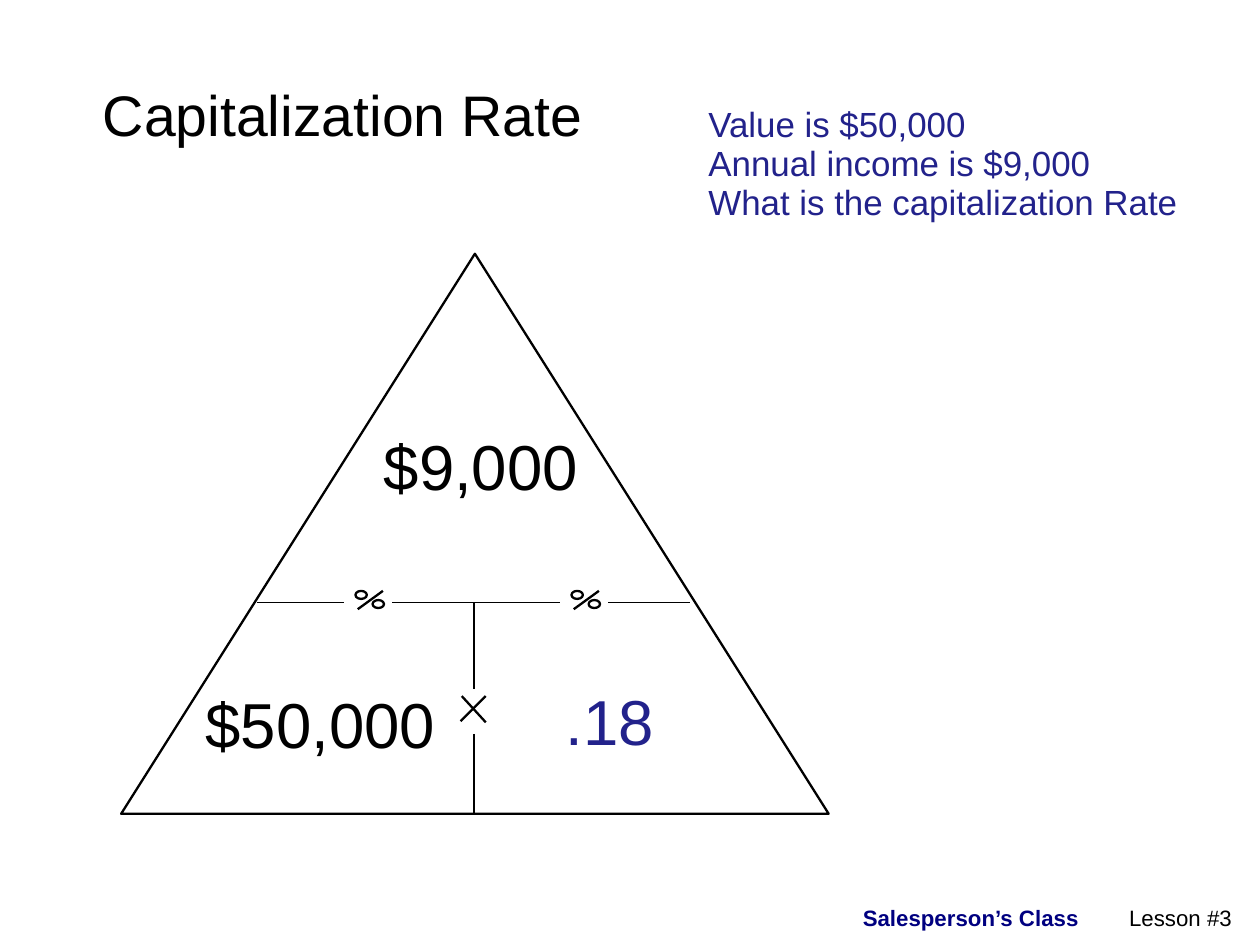
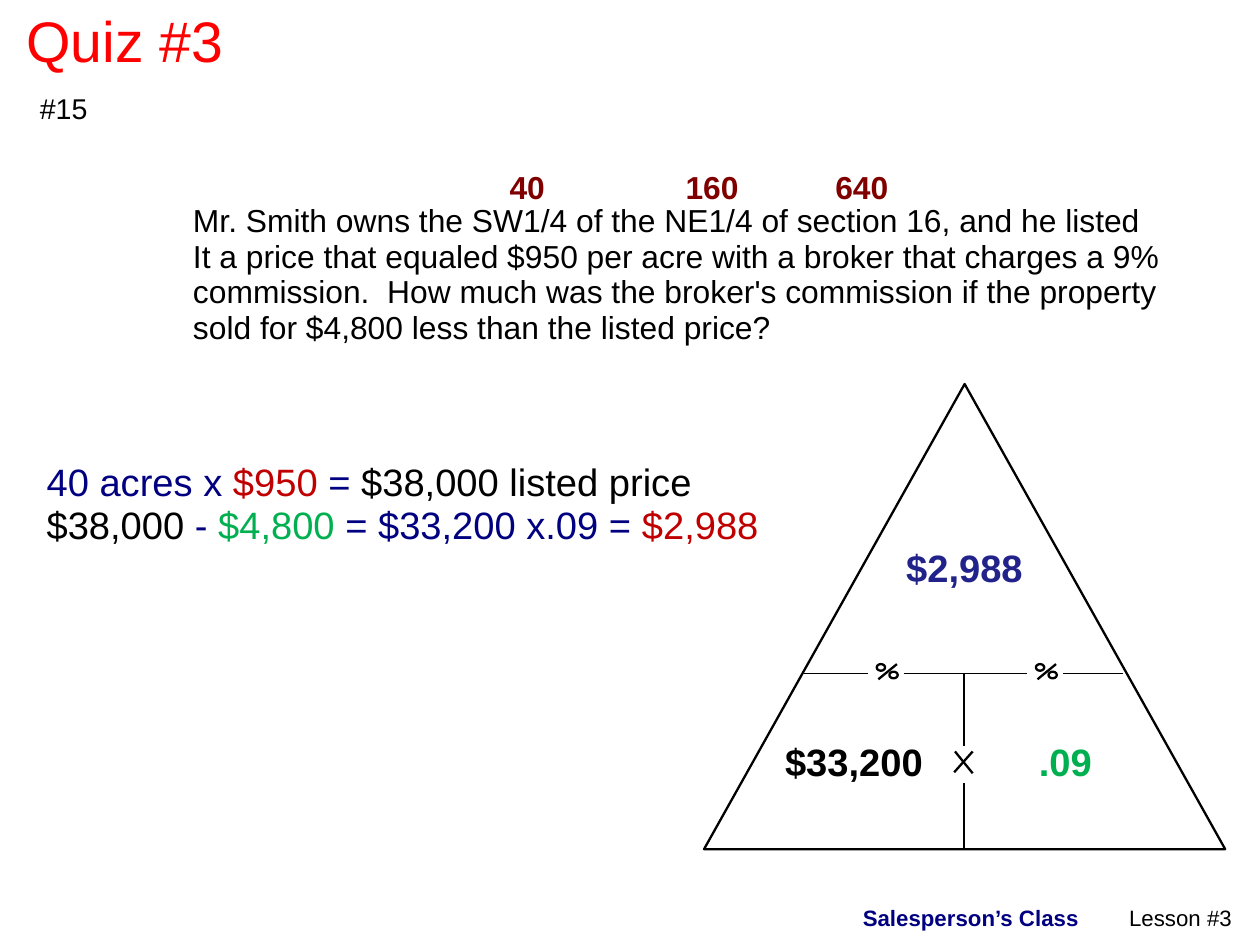
from dataclasses import dataclass
from typing import NamedTuple

from lxml import etree
from pptx import Presentation
from pptx.dml.color import RGBColor
from pptx.enum import shapes, text
from pptx.oxml import ns
from pptx.util import Cm, Inches, Pt

BLACK = RGBColor(0x00, 0x00, 0x00)
NAVY = RGBColor(0x00, 0x00, 0x80)
INDIGO = RGBColor(0x22, 0x22, 0x8B)
RED = RGBColor(0xFF, 0x00, 0x00)
BRICK = RGBColor(0xC0, 0x00, 0x00)
MAROON = RGBColor(0x80, 0x00, 0x00)
GREEN = RGBColor(0x00, 0xB0, 0x50)
FONT = "Arial"
THICK, THIN = 1.45, 0.75
WIDE, HIGH = 6.19, 4.9
MID, BAR = 3.09, 3.05


class Run(NamedTuple):
    words: str
    color: RGBColor = BLACK
    bold: bool = False


@dataclass
class Box:
    left: float
    top: float
    width: float
    height: float
    size: float
    lines: list[list[Run]]
    tabs: tuple[float, ...] = ()
    inset: float = 0.05


class Stroke(NamedTuple):
    x1: float
    y1: float
    x2: float
    y2: float
    weight: float = THICK


class Oval(NamedTuple):
    x: float
    y: float
    w: float = 0.1
    h: float = 0.07


@dataclass
class Frame:
    left: float
    top: float
    width: float
    height: float

    def x(self, v: float) -> int:
        return Inches(self.left + v * self.width / WIDE)

    def y(self, v: float) -> int:
        return Inches(self.top + v * self.height / HIGH)


SIGNS = (2.05, 3.94)
STROKES = [
    Stroke(MID, BAR, MID, 3.81),
    Stroke(MID, 4.2, MID, HIGH),
    Stroke(2.97, 4.09, 3.19, 3.87),
    Stroke(3.19, 4.1, 2.98, 3.87),
    *[Stroke(a, BAR, b, BAR, THIN)
      for a, b in ((1.19, 1.95), (2.37, MID), (MID, 3.84), (4.26, 4.98))],
    *[Stroke(s + 0.02, 3.11, s + 0.24, 2.95) for s in SIGNS],
]
OVALS = [Oval(s + dx, y) for s in SIGNS for dx, y in ((0, 2.95), (0.15, 3.03))]


def write(shape, box: Box) -> None:
    shape.left, shape.top = Inches(box.left), Inches(box.top)
    shape.width, shape.height = Inches(box.width), Inches(box.height)
    frame = shape.text_frame
    frame.word_wrap = True
    frame.auto_size = text.MSO_AUTO_SIZE.NONE
    frame.vertical_anchor = text.MSO_ANCHOR.TOP
    frame.margin_left = frame.margin_right = Inches(0.1)
    frame.margin_top, frame.margin_bottom = Inches(box.inset), Inches(0.05)
    for i, line in enumerate(box.lines):
        para = frame.add_paragraph() if i else frame.paragraphs[0]
        if box.tabs:
            stops = etree.SubElement(para._p.get_or_add_pPr(), ns.qn("a:tabLst"))
            for tab in box.tabs:
                etree.SubElement(stops, ns.qn("a:tab"),
                                 pos=str(Inches(tab)), algn="l")
        para.alignment = text.PP_ALIGN.LEFT
        para.line_spacing = 0.93
        para.font.name, para.font.size = FONT, Pt(box.size)
        same = len({run[1:] for run in line}) == 1
        if same:
            para.font.color.rgb, para.font.bold = line[0].color, line[0].bold
        for part in line:
            run = para.add_run()
            run.text = part.words
            if not same:
                run.font.color.rgb, run.font.bold = part.color, part.bold


def outline(group, kind, left: int, top: int, right: int, base: int) -> None:
    shape = group.shapes.add_shape(kind, left, top, right - left, base - top)
    shape.shadow.inherit = False
    shape.fill.background()
    shape.line.color.rgb, shape.line.width = BLACK, Pt(THICK)


def pyramid(slide, f: Frame) -> None:
    group = slide.shapes.add_group_shape()
    kinds = shapes.MSO_SHAPE
    outline(group, kinds.ISOSCELES_TRIANGLE, f.x(0), f.y(0), f.x(WIDE), f.y(HIGH))
    for s in STROKES:
        line = group.shapes.add_connector(
            shapes.MSO_CONNECTOR.STRAIGHT, f.x(s.x1), f.y(s.y1), f.x(s.x2), f.y(s.y2))
        line.line.color.rgb, line.line.width = BLACK, Pt(s.weight)
        etree.SubElement(line._element.spPr, ns.qn("a:effectLst"))
    for o in OVALS:
        outline(group, kinds.OVAL, f.x(o.x), f.y(o.y), f.x(o.x + o.w), f.y(o.y + o.h))


FOOTER = Box(7.45, 7.84, 3.48, 0.39, 14,
             [[Run("Salesperson’s Class\t", NAVY, True), Run("Lesson #3")]],
             (2.33,), 0.09)


def build(deck, title: Box, boxes: list[Box], frame: Frame) -> None:
    slide = deck.slides.add_slide(deck.slide_layouts[5])
    write(slide.shapes.title, title)
    pyramid(slide, frame)
    for box in [*boxes, FOOTER]:
        write(slide.shapes.add_textbox(0, 0, 0, 0), box)


def main() -> None:
    deck = Presentation()
    deck.slide_width, deck.slide_height = Cm(28), Cm(21)
    build(deck, Box(0.8, 0.7, 4.5, 0.66, 36, [[Run("Capitalization Rate")]]), [
        Box(6.1, 0.88, 4.4, 1.12, 22, [
            [Run("Value is $50,000", INDIGO)],
            [Run("Annual income is $9,000", INDIGO)],
            [Run("What is the capitalization Rate", INDIGO)]]),
        Box(1.7, 6, 2.3, 0.72, 40, [[Run("$50,000")]]),
        Box(4.85, 5.98, 1.05, 0.72, 40, [[Run(".18", INDIGO)]]),
        Box(3.26, 3.75, 2, 0.72, 40, [[Run("$9,000")]]),
    ], Frame(1.06, 2.22, WIDE, HIGH))
    build(deck, Box(0.13, 0.05, 2.2, 0.66, 36, [[Run("Quiz #3", RED)]]), [
        Box(0.25, 0.77, 0.8, 0.38, 18, [[Run("#15")]]),
        Box(1.59, 1.74, 8.8, 1.22, 20, [
            [Run("Mr. Smith owns the SW1/4 of the NE1/4 of section 16, and he listed")],
            [Run("It a price that equaled $950 per acre with a broker that charges a 9%")],
            [Run("commission.  How much was the broker's commission if the property")],
            [Run("sold for $4,800 less than the listed price?")]]),
        Box(4.36, 1.45, 3.6, 0.38, 20,
            [[Run("40\t160\t640", MAROON, True)]], (1.54, 2.85)),
        Box(0.31, 4, 6.6, 0.66, 24, [
            [Run("40 acres x ", NAVY), Run("$950 ", BRICK), Run("= ", NAVY),
             Run("$38,000 listed price")],
            [Run("$38,000 "), Run("- ", NAVY), Run("$4,800 ", GREEN),
             Run("= $33,200 x.09 = ", NAVY), Run("$2,988", BRICK)]]),
        Box(6.77, 6.45, 3.06, 0.63, 24,
            [[Run("$33,200\t", BLACK, True), Run(".09", GREEN, True)]], (2.22,)),
        Box(7.83, 4.75, 1.35, 0.63, 24, [[Run("$2,988", INDIGO, True)]]),
    ], Frame(6.16, 3.36, 4.56, 4.07))
    deck.save("out.pptx")


if __name__ == "__main__":
    main()
